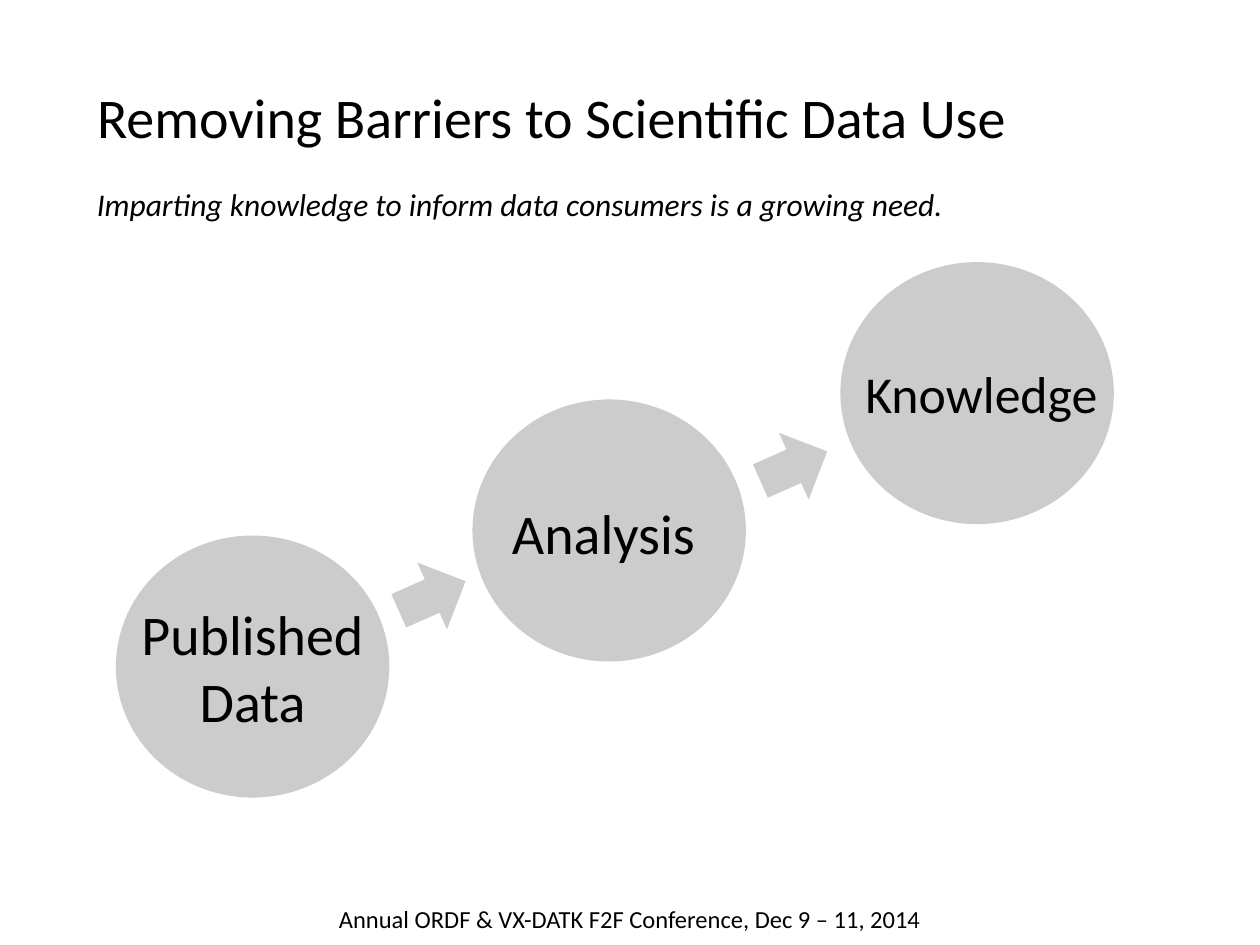
from pptx import Presentation
from pptx.dml.color import RGBColor
from pptx.enum.shapes import MSO_SHAPE
from pptx.enum.text import MSO_ANCHOR, PP_ALIGN
from pptx.util import Inches, Pt

BLACK = RGBColor(0x00, 0x00, 0x00)
GRAY = RGBColor(0xCC, 0xCC, 0xCC)
CIRCLE = MSO_SHAPE.OVAL
ARROW = MSO_SHAPE.DOWN_ARROW
LEFT = PP_ALIGN.LEFT
CENTER = PP_ALIGN.CENTER
TOP = MSO_ANCHOR.TOP
MIDDLE = MSO_ANCHOR.MIDDLE
TITLE_ONLY = 5

presentation = Presentation()
presentation.slide_width = Inches(10)
presentation.slide_height = Inches(7.5)
slide = presentation.slides.add_slide(presentation.slide_layouts[TITLE_ONLY])


def write_text(text, left, top, width, height, shape=None, size=32,
               italic=False, align=CENTER, anchor=MIDDLE, margin=None):
    box = [Inches(length) for length in (left, top, width, height)]
    if shape is None:
        shape = slide.shapes.add_textbox(*box)
    shape.left, shape.top, shape.width, shape.height = box
    frame = shape.text_frame
    frame.word_wrap = True
    frame.vertical_anchor = anchor
    if margin is not None:
        frame.margin_left = frame.margin_right = Inches(margin)
        frame.margin_top = frame.margin_bottom = Inches(margin)
    frame.text = text
    for paragraph in frame.paragraphs:
        paragraph.alignment = align
        font = paragraph.runs[0].font
        font.name = "Calibri"
        font.size = Pt(size)
        font.italic = italic
        font.color.rgb = BLACK


def add_gray_shape(kind, left, top, width, height, rotation=0):
    shape = slide.shapes.add_shape(
        kind, Inches(left), Inches(top), Inches(width), Inches(height))
    shape.shadow.inherit = False
    shape.fill.solid()
    shape.fill.fore_color.rgb = GRAY
    shape.line.fill.background()
    shape.rotation = rotation


write_text("Annual ORDF & VX-DATK F2F Conference, Dec 9 – 11, 2014",
           0, 7.08, 10, 0.42, size=14, margin=0)
write_text("Removing Barriers to Scientific Data Use",
           0.67, 0.42, 8.58, 1, shape=slide.shapes.title, align=LEFT)
write_text("Imparting knowledge to inform data consumers is a growing need.",
           0.67, 1.42, 9.08, 0.4, size=18, italic=True, align=LEFT, anchor=TOP)

for left, top in ((6.67, 2.08), (3.75, 3.17), (0.92, 4.25)):
    add_gray_shape(CIRCLE, left, top, 2.17, 2.08)

for left, top in ((3.14, 4.44), (6.01, 3.41)):
    add_gray_shape(ARROW, left, top, 0.58, 0.58, rotation=246.1)

write_text("Knowledge", 6.75, 2.82, 2.08, 0.6, size=29.6)
write_text("Analysis", 3.75, 3.92, 2.08, 0.6)
write_text("Published\nData", 0.92, 4.58, 2.17, 1.42)

presentation.save("out.pptx")
